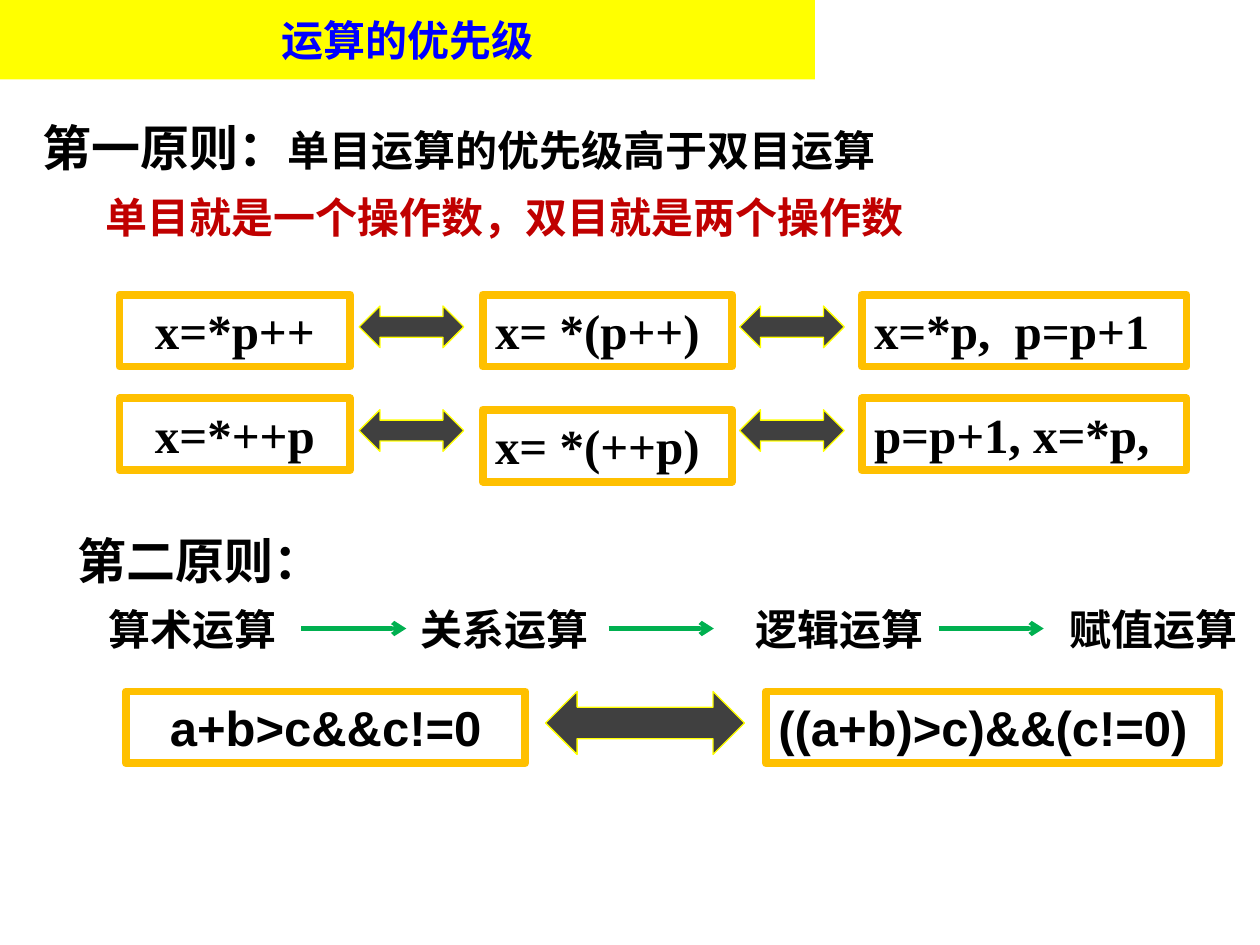
from typing import NamedTuple, Optional

from lxml import etree
from pptx import Presentation
from pptx.dml.color import RGBColor
from pptx.enum.shapes import MSO_CONNECTOR, MSO_SHAPE
from pptx.enum.text import MSO_ANCHOR, MSO_AUTO_SIZE, PP_ALIGN
from pptx.oxml.ns import qn
from pptx.util import Cm, Pt

RECT, DOUBLE_ARROW = MSO_SHAPE.RECTANGLE, MSO_SHAPE.LEFT_RIGHT_ARROW
STRAIGHT = MSO_CONNECTOR.STRAIGHT
TOP, MIDDLE = MSO_ANCHOR.TOP, MSO_ANCHOR.MIDDLE
LEFT, CENTER = PP_ALIGN.LEFT, PP_ALIGN.CENTER
FIXED, GROW = MSO_AUTO_SIZE.NONE, MSO_AUTO_SIZE.SHAPE_TO_FIT_TEXT

BLACK = RGBColor(0x00, 0x00, 0x00)
BLUE = RGBColor(0x00, 0x00, 0xFF)
RED = RGBColor(0xC0, 0x00, 0x00)
GREEN = RGBColor(0x00, 0xB0, 0x50)
YELLOW = RGBColor(0xFF, 0xFF, 0x00)
AMBER = RGBColor(0xFF, 0xC0, 0x00)
GRAY = RGBColor(0x40, 0x40, 0x40)

SERIF, SANS, ROBOTO = "Times New Roman", "Arial", "Roboto"
BOX_H = 1.45
STEP_Y, STEP_W, STEP_H = 12.04, 3.89, 1.27
STEP_ARROW_Y, STEP_ARROW_W = 12.67, 2.12


class Run(NamedTuple):
    text: str
    size: int = 24
    font: str = SERIF
    color: RGBColor = BLACK


class Area(NamedTuple):
    x: float
    y: float
    w: float
    h: float


class Label(NamedTuple):
    area: Area
    runs: list[Run]


class Box(NamedTuple):
    area: Area
    text: str
    font: str = SERIF
    align: PP_ALIGN = LEFT


LABELS = [
    Label(Area(0.61, 2.24, 17.3, BOX_H),
          [Run("第一原则：", 28), Run("单目运算的优先级高于双目运算")]),
    Label(Area(1.88, 3.73, 16.59, 1.27),
          [Run("单目就是一个操作数，双目就是两个操作数", 24, ROBOTO, RED)]),
    Label(Area(1.32, 10.57, 5.44, BOX_H), [Run("第二原则：", 28)]),
] + [
    Label(Area(x, STEP_Y, STEP_W, STEP_H), [Run(text)])
    for x, text in [(1.93, "算术运算"), (8.23, "关系运算"),
                    (14.99, "逻辑运算"), (21.31, "赋值运算")]
]

COLUMNS = [(2.41, 4.65, CENTER), (9.73, 5.03, LEFT), (17.37, 6.55, LEFT)]
ROWS = [
    [(5.94, "x=*p++"), (5.94, "x= *(p++)"), (5.94, "x=*p,  p=p+1")],
    [(8.03, "x=*++p"), (8.26, "x= *(++p)"), (8.03, "p=p+1, x=*p,")],
]
BOXES = [
    Box(Area(x, y, w, BOX_H), text, SERIF, align)
    for row in ROWS for (x, w, align), (y, text) in zip(COLUMNS, row)
] + [
    Box(Area(2.54, 13.94, 8.05, BOX_H), "a+b>c&&c!=0", SANS, CENTER),
    Box(Area(15.44, 13.94, 9.14, BOX_H), "((a+b)>c)&&(c!=0)", SANS),
]
DOUBLE_ARROWS = [
    Area(x, y, 2.11, 0.84) for y in (6.17, 8.26) for x in (7.24, 14.91)
] + [Area(11, 13.94, 4.01, 1.27)]


def write(tf, runs: list[Run], align: PP_ALIGN = LEFT, **frame) -> None:
    for name, value in frame.items():
        setattr(tf, name, value)
    p = tf.paragraphs[0]
    p.alignment = align
    for item in runs:
        r = p.add_run()
        r.text = item.text
        style = {"size": Pt(item.size), "name": item.font, "bold": True}
        for name, value in style.items():
            setattr(r.font, name, value)
        r.font.color.rgb = item.color


def add_label(s, label: Label) -> None:
    tb = s.shapes.add_textbox(*map(Cm, label.area))
    write(tb.text_frame, label.runs, word_wrap=False, auto_size=GROW)


def add_figure(s, kind: MSO_SHAPE, area: Area, fill: Optional[RGBColor],
               line: Optional[RGBColor], width: float = 0):
    sp = s.shapes.add_shape(kind, *map(Cm, area))
    sp.shadow.inherit = False
    for fmt, color in ((sp.fill, fill), (sp.line.fill, line)):
        if color is None:
            fmt.background()
        else:
            fmt.solid()
            fmt.fore_color.rgb = color
    if line is not None:
        sp.line.width = Pt(width)
    return sp


def add_box(s, box: Box) -> None:
    sp = add_figure(s, RECT, box.area, None, AMBER, 4.5)
    write(sp.text_frame, [Run(box.text, 28, box.font)], box.align,
          word_wrap=True, auto_size=GROW, vertical_anchor=TOP)


def add_step_arrow(s, x: float) -> None:
    y = Cm(STEP_ARROW_Y)
    line = s.shapes.add_connector(STRAIGHT, Cm(x), y, Cm(x + STEP_ARROW_W), y)
    line.line.color.rgb = GREEN
    line.line.width = Pt(2.5)
    sp_pr = line._element.spPr
    etree.SubElement(sp_pr.find(qn("a:ln")), qn("a:tailEnd"), type="arrow")
    etree.SubElement(sp_pr, qn("a:effectLst"))


def main() -> None:
    prs = Presentation()
    prs.slide_width, prs.slide_height = Cm(25.4), Cm(19.05)
    s = prs.slides.add_slide(prs.slide_layouts[6])

    title = add_figure(s, RECT, Area(0, 0, 16.43, 1.6), YELLOW, None)
    write(title.text_frame, [Run("运算的优先级", color=BLUE)], CENTER,
          word_wrap=True, auto_size=FIXED, vertical_anchor=MIDDLE)
    for label in LABELS:
        add_label(s, label)
    for box in BOXES:
        add_box(s, box)
    for area in DOUBLE_ARROWS:
        add_figure(s, DOUBLE_ARROW, area, GRAY, YELLOW, 0.75)
    for x in (6.07, 12.27, 18.92):
        add_step_arrow(s, x)

    prs.save("out.pptx")


if __name__ == "__main__":
    main()
